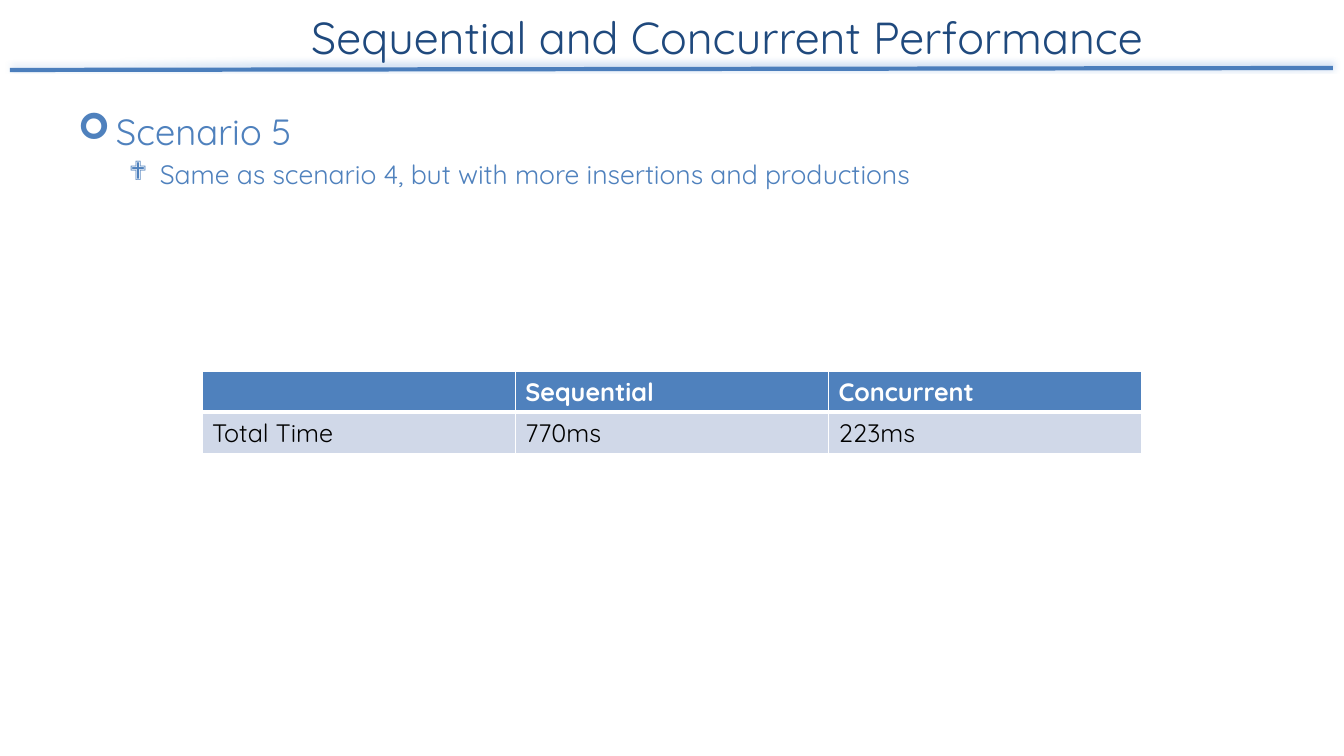
from dataclasses import dataclass

from lxml import etree
from pptx import Presentation
from pptx.dml.color import RGBColor
from pptx.enum.shapes import MSO_CONNECTOR
from pptx.enum.text import MSO_ANCHOR, PP_ALIGN
from pptx.oxml.ns import qn
from pptx.slide import Slide
from pptx.table import _Cell
from pptx.text.text import _Paragraph
from pptx.util import Emu, Pt

STRAIGHT = MSO_CONNECTOR.STRAIGHT
MIDDLE, TOP = MSO_ANCHOR.MIDDLE, MSO_ANCHOR.TOP
CENTER = PP_ALIGN.CENTER
SCALE = 914400 / 100.8
FONT = "Quicksand"
BLUE, NAVY, PALE = "4F81BD", "1F497D", "D0D8E8"
WHITE, BLACK = "FFFFFF", "000000"


@dataclass
class Point:
    text: str
    level: int
    size: int
    mark: str
    left: int
    hang: int
    before: int


@dataclass
class Row:
    texts: tuple[str, ...]
    height: int
    fill: str
    color: str
    bold: bool
    base: int


POINTS = [
    Point("Scenario 5", 0, 26, "➢", 38, 38, 0),
    Point("Same as scenario 4, but with more insertions and productions",
          1, 19, "❖", 82, 31, 4),
]
ROWS = [
    Row(("", "Sequential", "Concurrent"), 41, BLUE, WHITE, True, 3),
    Row(("Total Time", "770ms", "223ms"), 42, PALE, BLACK, False, 1),
]


def px(count: int) -> Emu:
    return Emu(round(count * SCALE))


def rgb(code: str) -> RGBColor:
    return RGBColor.from_string(code)


def add_run(para: _Paragraph, text: str, size: int, color: str, bold: bool = False) -> None:
    run = para.add_run()
    run.text = text
    run.font.name = FONT
    run.font.size = Pt(size)
    run.font.bold = bold
    run.font.color.rgb = rgb(color)


def add_title(slide: Slide) -> None:
    title = slide.shapes.title
    title.left, title.top, title.width, title.height = px(214), px(0), px(1027), px(73)
    title.text_frame.vertical_anchor = MIDDLE
    para = title.text_frame.paragraphs[0]
    para.alignment = CENTER
    add_run(para, "Sequential and Concurrent Performance", 32, NAVY)


def add_rule(slide: Slide) -> None:
    rule = slide.shapes.add_connector(STRAIGHT, px(10), px(70), px(1333), px(68))
    rule.line.width = Pt(3)
    rule.line.color.rgb = rgb("4B7EBC")
    glow = etree.SubElement(rule._element.spPr, qn("a:effectLst"))
    shade = etree.SubElement(glow, qn("a:outerShdw"), blurRad=str(Pt(4)),
                             dist=str(Pt(3)), dir=str(270 * 60000), rotWithShape="0")
    color = etree.SubElement(shade, qn("a:srgbClr"), val="558ED5")
    etree.SubElement(color, qn("a:alpha"), val="40000")


def add_list(slide: Slide, points: list[Point]) -> None:
    frame = slide.shapes.add_textbox(px(68), px(104), px(1210), px(592)).text_frame
    frame.word_wrap = True
    frame.vertical_anchor = TOP
    for index, point in enumerate(points):
        para = frame.add_paragraph() if index else frame.paragraphs[0]
        para.level = point.level
        para.space_before = Pt(point.before)
        props = para._p.get_or_add_pPr()
        props.set("marL", str(px(point.left)))
        props.set("indent", str(-px(point.hang)))
        etree.SubElement(props, qn("a:buFont"), typeface="Wingdings")
        etree.SubElement(props, qn("a:buChar"), char=point.mark)
        add_run(para, point.text, point.size, BLUE)


def add_edge(cell: _Cell, side: str, width: int) -> None:
    props = cell._tc.get_or_add_tcPr()
    edge = etree.SubElement(props, qn(f"a:ln{side}"), w=str(Pt(width)))
    fill = etree.SubElement(edge, qn("a:solidFill"))
    etree.SubElement(fill, qn("a:srgbClr"), val=WHITE)


def add_grid(slide: Slide, rows: list[Row]) -> None:
    high = sum(row.height for row in rows)
    grid = slide.shapes.add_table(len(rows), len(rows[0].texts),
                                  px(202), px(371), px(940), px(high)).table
    for line, row in zip(grid.rows, rows):
        line.height = px(row.height)
        for cell, text in zip(line.cells, row.texts):
            for side, width in zip("LRTB", (1, 1, 1, row.base)):
                add_edge(cell, side, width)
            cell.fill.solid()
            cell.fill.fore_color.rgb = rgb(row.fill)
            if text:
                add_run(cell.text_frame.paragraphs[0], text, 18, row.color, row.bold)


def main() -> None:
    deck = Presentation()
    deck.slide_width, deck.slide_height = px(1344), px(756)
    slide = deck.slides.add_slide(deck.slide_layouts.get_by_name("Title Only"))
    add_rule(slide)
    add_list(slide, POINTS)
    add_grid(slide, ROWS)
    add_title(slide)
    deck.save("out.pptx")


if __name__ == "__main__":
    main()
